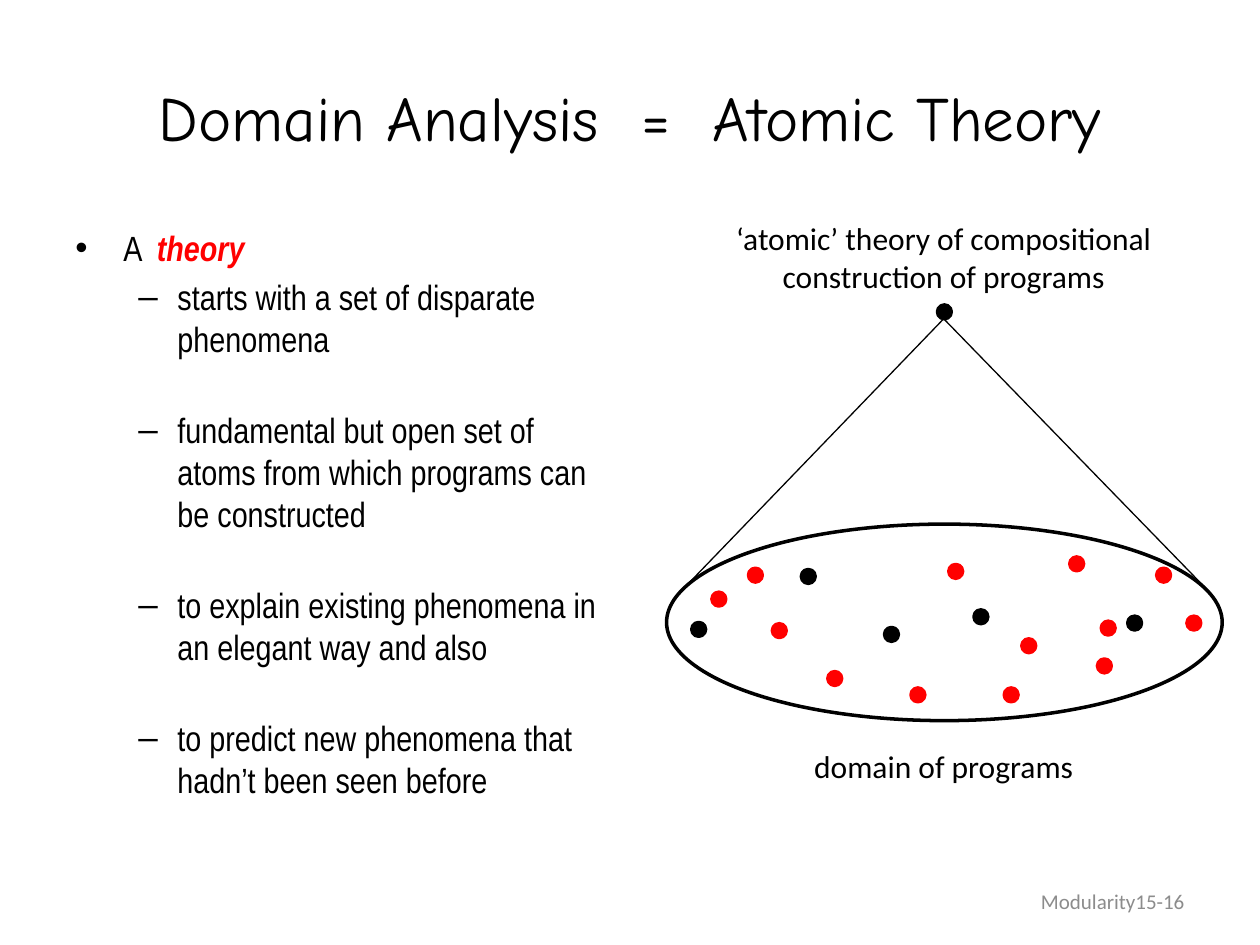
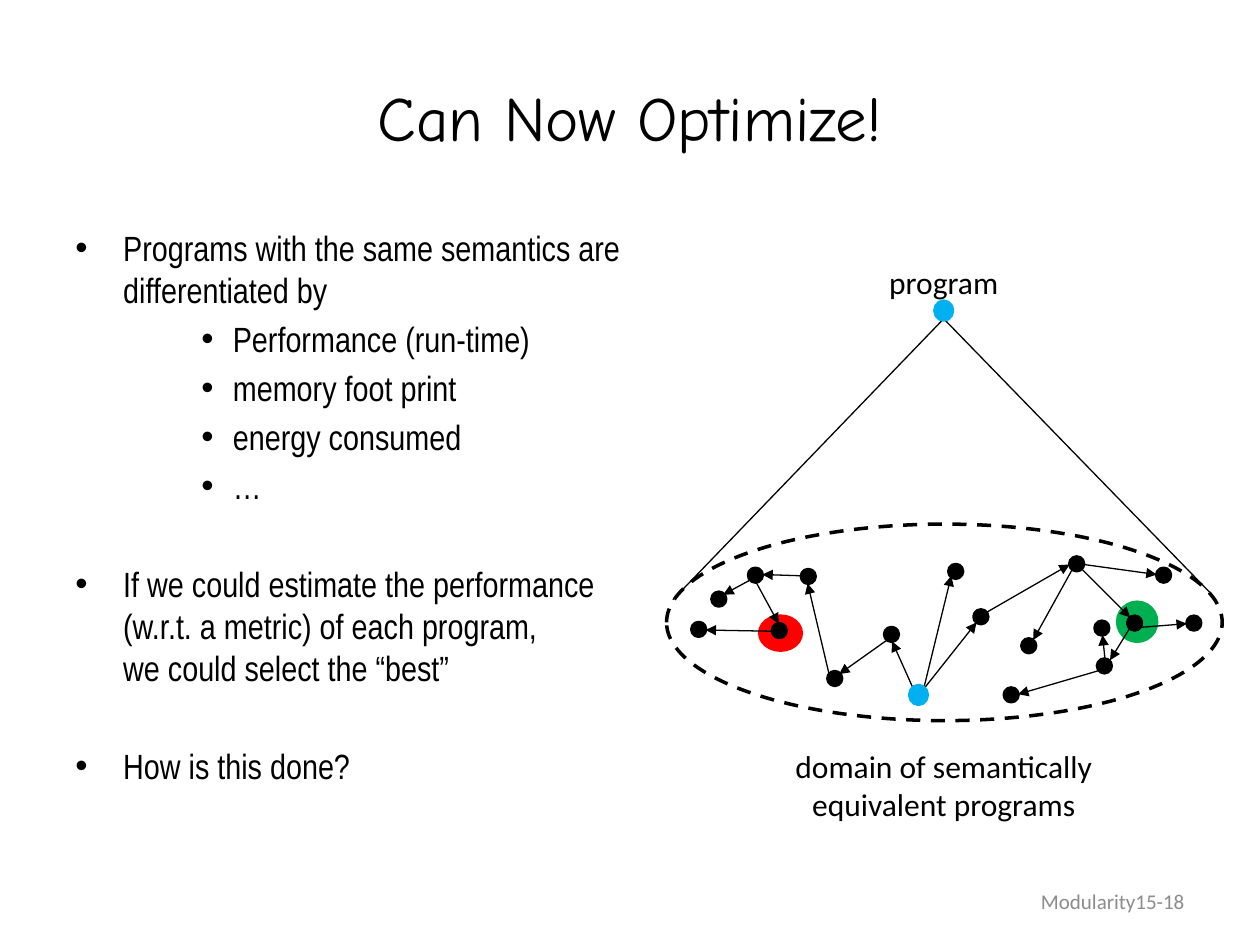
from lxml.etree import SubElement
from pptx import Presentation
from pptx.dml.color import RGBColor
from pptx.enum.dml import MSO_LINE
from pptx.enum.shapes import MSO_CONNECTOR, MSO_SHAPE
from pptx.enum.text import MSO_ANCHOR, PP_ALIGN
from pptx.oxml.ns import qn
from pptx.util import Inches, Pt

BLACK, RED, GREEN, BLUE, GREY = "000000", "FF0000", "00B050", "00B0F0", "8C8C8C"
TITLE_FONT, BODY_FONT, LABEL_FONT = "Comic Neue", "Arial Narrow", "Calibri"
CENTRE_X = 7.49
DOT = 0.11
LEVELS = {
    "topic": ("•", 0.38, 0.38),
    "dash": ("–", 0.81, 0.31),
    "point": ("•", 1.25, 0.25),
}
TIGHT, LOOSE, WIDE = 4, 28, 32

LANDMARKS = [(5.49, 4.94), (7.02, 4.98), (6.36, 4.52), (8.95, 4.89), (7.73, 4.84)]
PREDICTIONS = [
    (8.11, 5.07), (8.49, 4.42), (6.13, 4.95), (7.53, 4.48), (9.42, 4.89), (8.71, 5.23),
    (6.57, 5.33), (5.94, 4.51), (9.18, 4.51), (7.97, 5.46), (5.65, 4.7),
]
REWRITES = [
    ((7.04, 5.08), (6.66, 5.35)),
    ((6.58, 5.35), (6.41, 4.63)),
    ((6.36, 4.57), (6.05, 4.56)),
    ((5.96, 4.6), (5.74, 4.72)),
    ((6, 4.62), (6.18, 4.95)),
    ((6.13, 5.01), (5.6, 5)),
    ((7.25, 5.47), (7.08, 5.09)),
    ((7.33, 5.47), (7.55, 4.57)),
    ((7.33, 5.47), (7.75, 4.94)),
    ((7.83, 4.86), (8.49, 4.48)),
    ((8.6, 4.48), (9.18, 4.56)),
    ((8.59, 4.52), (8.97, 4.9)),
    ((8.77, 5.23), (8.75, 5.04)),
    ((9.04, 4.98), (9.42, 4.95)),
    ((8.97, 4.98), (8.81, 5.24)),
    ((8.51, 4.52), (8.2, 5.08)),
    ((8.73, 5.32), (8.08, 5.51)),
]


def colour(value):
    return RGBColor.from_string(value)


class Deck:
    def __init__(self):
        self.presentation = Presentation()
        self.presentation.slide_width = Inches(10)
        self.presentation.slide_height = Inches(7.5)
        self.slide = None

    def add_slide(self, title, number):
        self.slide = self.presentation.slides.add_slide(self.presentation.slide_layouts[6])
        self.text(title, 0.5, 0.3, 9, 1.25, TITLE_FONT, 36, anchor=MSO_ANCHOR.MIDDLE)
        self.text(f"Modularity15-{number}", 7.17, 6.95, 2.33, 0.4, LABEL_FONT, 12, GREY,
                  PP_ALIGN.RIGHT, MSO_ANCHOR.MIDDLE)

    def frame(self, left, top, width, height, wrap=True, anchor=MSO_ANCHOR.TOP):
        box = self.slide.shapes.add_textbox(
            Inches(left), Inches(top), Inches(width), Inches(height))
        box.text_frame.word_wrap = wrap
        box.text_frame.vertical_anchor = anchor
        return box.text_frame

    def add_runs(self, paragraph, text, font, size, ink=BLACK, emphasis=False):
        for index, line in enumerate(text.split("\n")):
            if index:
                paragraph.add_line_break()
            run = paragraph.add_run()
            run.text = line
            run.font.name = font
            run.font.size = Pt(size)
            run.font.color.rgb = colour(ink)
            run.font.bold = run.font.italic = emphasis

    def text(self, text, left, top, width, height, font, size, ink=BLACK,
             align=PP_ALIGN.CENTER, anchor=MSO_ANCHOR.TOP, wrap=True):
        paragraph = self.frame(left, top, width, height, wrap, anchor).paragraphs[0]
        paragraph.alignment = align
        self.add_runs(paragraph, text, font, size, ink)

    def label(self, text, top, width):
        height = 0.71 if "\n" in text else 0.4
        self.text(text, CENTRE_X - width / 2, top, width, height, LABEL_FONT, 18, wrap=False)

    def bullets(self, items, width, height):
        frame = self.frame(0.5, 1.75, width, height)
        for index, (level, space, runs) in enumerate(items):
            paragraph = frame.add_paragraph() if index else frame.paragraphs[0]
            symbol, margin, hanging = LEVELS[level]
            properties = paragraph._p.get_or_add_pPr()
            properties.set("marL", str(Inches(margin)))
            properties.set("indent", str(-Inches(hanging)))
            SubElement(properties, qn("a:buFont"), typeface="Arial")
            SubElement(properties, qn("a:buChar"), char=symbol)
            paragraph.space_before = Pt(space)
            for text, ink, emphasis in runs:
                self.add_runs(paragraph, text, BODY_FONT, 20, ink, emphasis)

    def ellipse(self, left, top, width=DOT, height=DOT, fill=BLACK, line=BLACK, dash=None):
        shape = self.slide.shapes.add_shape(
            MSO_SHAPE.OVAL, Inches(left), Inches(top), Inches(width), Inches(height))
        shape.shadow.inherit = False
        if fill:
            shape.fill.solid()
            shape.fill.fore_color.rgb = colour(fill)
        else:
            shape.fill.background()
        shape.line.color.rgb = colour(line)
        shape.line.width = Pt(2)
        if dash:
            shape.line.dash_style = dash

    def dots(self, places, ink):
        for left, top in places:
            self.ellipse(left, top, fill=ink, line=ink)

    def spot(self, left, top, width, height, ink):
        self.ellipse(left, top, width, height, ink, ink)

    def line(self, start, end, arrow=False):
        connector = self.slide.shapes.add_connector(
            MSO_CONNECTOR.STRAIGHT, *(Inches(value) for value in start + end))
        connector.line.color.rgb = colour(BLACK)
        connector.line.width = Pt(0.75)
        properties = connector._element.spPr
        if arrow:
            SubElement(properties.get_or_add_ln(), qn("a:tailEnd"), type="triangle")
        SubElement(properties, qn("a:effectLst"))

    def cone(self, dash=None):
        self.ellipse(5.29, 4.16, 4.41, 1.56, fill=None, dash=dash)
        apex = (CENTRE_X, 2.53)
        for rim in ((5.34, 4.76), (9.6, 4.7)):
            self.line(apex, rim)


def plain(text):
    return [(text, BLACK, False)]


def build_theory(deck):
    deck.add_slide("Domain Analysis  =  Atomic Theory", 16)
    deck.bullets([
        ("topic", 0, [("A  ", BLACK, False), ("theory", RED, True)]),
        ("dash", TIGHT, plain("starts with a set of disparate phenomena")),
        ("dash", LOOSE, plain(
            "fundamental but open set of atoms from which programs can be constructed")),
        ("dash", LOOSE, plain("to explain existing phenomena in an elegant way and also")),
        ("dash", LOOSE, plain("to predict new phenomena that hadn’t been seen before")),
    ], 4.42, 4.95)
    deck.cone()
    deck.dots(LANDMARKS + [(7.44, 2.42)], BLACK)
    deck.dots(PREDICTIONS + [(8.74, 4.93), (7.23, 5.46)], RED)
    deck.label("‘atomic’ theory of compositional\nconstruction of programs", 1.69, 3.54)
    deck.label("domain of programs", 5.88, 2.28)


def build_optimize(deck):
    deck.add_slide("Can Now Optimize!", 18)
    deck.bullets([
        ("topic", 0, plain("Programs with the same semantics are differentiated by")),
        ("point", TIGHT, plain("Performance (run-time)")),
        ("point", TIGHT, plain("memory foot print")),
        ("point", TIGHT, plain("energy consumed")),
        ("point", TIGHT, plain("…")),
        ("topic", WIDE, plain(
            "If we could estimate the performance (w.r.t. a metric) of each program, \n"
            "we could select the “best”")),
        ("topic", WIDE, plain("How is this done?")),
    ], 4.76, 5.2)
    deck.spot(8.87, 4.78, 0.31, 0.31, GREEN)
    deck.spot(6.03, 4.89, 0.33, 0.27, RED)
    deck.dots(LANDMARKS + PREDICTIONS + [(8.69, 4.93)], BLACK)
    for start, end in REWRITES:
        deck.line(start, end, arrow=True)
    deck.cone(MSO_LINE.DASH)
    deck.label("program", 2.04, 1.08)
    deck.label("domain of semantically\nequivalent programs", 5.88, 2.58)
    for left, top in ((7.42, 2.39), (7.22, 5.44)):
        deck.spot(left, top, 0.14, 0.15, BLUE)


def main():
    deck = Deck()
    build_theory(deck)
    build_optimize(deck)
    deck.presentation.save("out.pptx")


if __name__ == "__main__":
    main()
